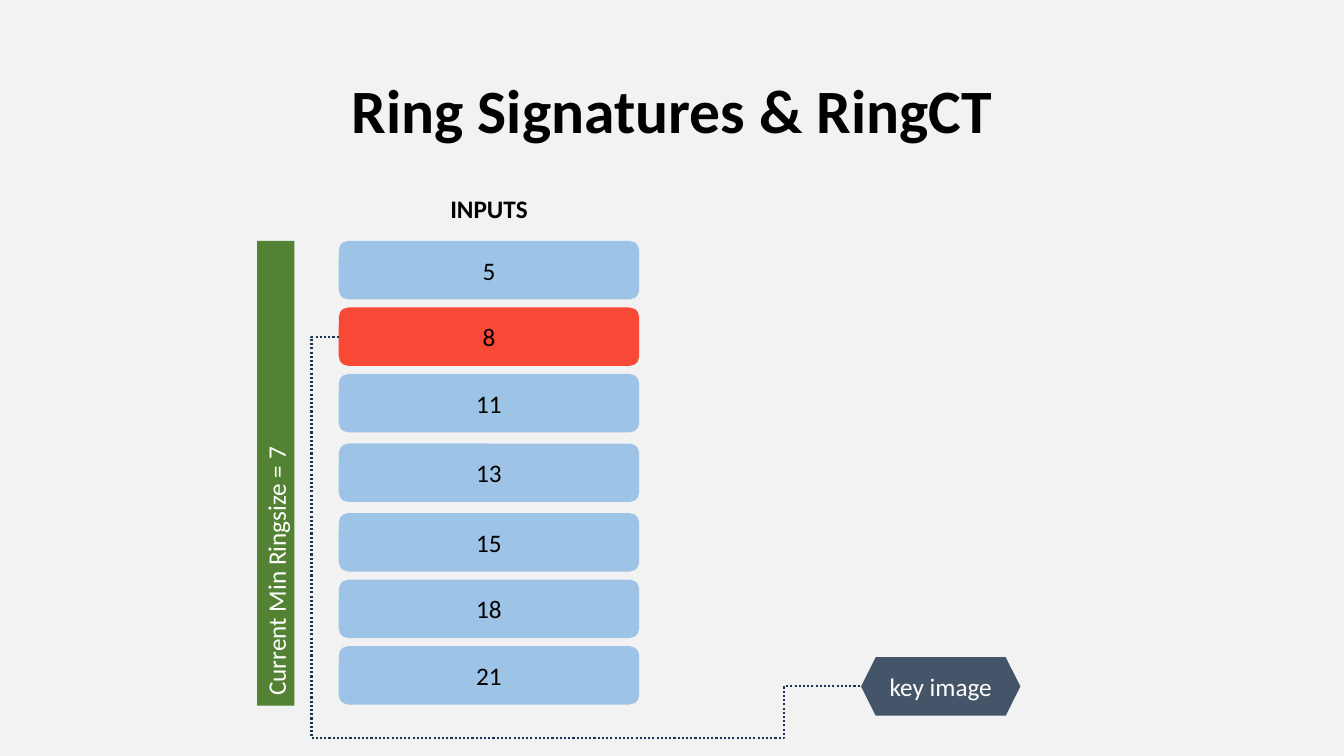
import itertools
import pptx
import pptx.util
import pptx.dml.color
import pptx.enum.dml
import pptx.enum.shapes
import pptx.enum.text
import pptx.oxml
import pptx.oxml.ns

Inch = pptx.util.Inches
Kind = pptx.enum.shapes.MSO_SHAPE
Align = pptx.enum.text.PP_ALIGN
Mid = pptx.enum.text.MSO_ANCHOR.MIDDLE

INPUTS = ["5", "8", "11", "13", "15", "18", "21"]
STEPS = [0, 0.66, 0.66, 0.69, 0.69, 0.66, 0.66]
SPENT = "8"
ROW = 0.58


def color(code):
    return pptx.dml.color.RGBColor.from_string(code)


def write(frame, text, size=18, ink="000000", bold=False, align=Align.CENTER):
    frame.text = text
    par = frame.paragraphs[0]
    par.alignment = align
    par.font.name = "Calibri"
    par.font.size = pptx.util.Pt(size)
    par.font.bold = bold
    par.font.color.rgb = color(ink)
    return par


def block(slide, kind, box, fill, text, ink="000000", align=Align.CENTER):
    shape = slide.shapes.add_shape(kind, *map(Inch, box))
    shape.shadow.inherit = False
    shape.fill.solid()
    shape.fill.fore_color.rgb = color(fill)
    shape.line.fill.background()
    shape.text_frame.vertical_anchor = Mid
    write(shape.text_frame, text, ink=ink, align=align)
    return shape


def elbow(slide, start, end, preset, bend=None):
    link = slide.shapes.add_connector(
        pptx.enum.shapes.MSO_CONNECTOR.ELBOW, *map(Inch, start + end))
    link.line.color.rgb = color("183457")
    link.line.width = pptx.util.Pt(1.5)
    link.line.dash_style = pptx.enum.dml.MSO_LINE.ROUND_DOT
    props = link._element.spPr
    props.append(pptx.oxml.parse_xml(
        f'<a:effectLst {pptx.oxml.ns.nsdecls("a")}/>'))
    geom = props.find(pptx.oxml.ns.qn("a:prstGeom"))
    geom.set("prst", preset)
    if bend is not None:
        geom.find(pptx.oxml.ns.qn("a:avLst")).append(pptx.oxml.parse_xml(
            f'<a:gd {pptx.oxml.ns.nsdecls("a")} name="adj1" '
            f'fmla="val {round(bend * 100000)}"/>'))


def head(slide, box):
    title = slide.shapes.title
    title.left, title.top, title.width, title.height = map(Inch, box)
    title.text_frame.vertical_anchor = Mid
    par = write(title.text_frame, "Ring Signatures & RingCT", 44, bold=True)
    par.line_spacing = 0.9


def side(slide, box):
    left, top, width, height = box
    turned = (left + (width - height) / 2, top + (height - width) / 2,
              height, width)
    bar = block(slide, Kind.RECTANGLE, turned, "548235",
                "Current Min Ringsize = 7", "FFFFFF", Align.LEFT)
    bar.rotation = 270


def stack(slide, box):
    left, top, width, height = box
    label = slide.shapes.add_textbox(
        *map(Inch, (left + width / 2 - 0.49, top - 0.52, 0.98, 0.4)))
    label.text_frame.word_wrap = False
    write(label.text_frame, "INPUTS", bold=True)
    for text, drop in zip(INPUTS, itertools.accumulate(STEPS)):
        fill = "F84836" if text == SPENT else "9DC3E6"
        block(slide, Kind.ROUNDED_RECTANGLE,
              (left, top + drop, width, ROW), fill, text)


def trace(slide, box):
    left, top, width, height = box
    corner = (left, top + height)
    key = (left + width, 6.81)
    elbow(slide, (left + 0.27, top), corner, "bentConnector2")
    elbow(slide, corner, key, "bentConnector3", 0.86)
    block(slide, Kind.HEXAGON, (key[0], key[1] - ROW / 2, 1.58, ROW),
          "445469", "key image", "FFFFFF")


def main():
    deck = pptx.Presentation()
    deck.slide_width, deck.slide_height = Inch(13.33), Inch(7.5)
    slide = deck.slides.add_slide(deck.slide_layouts[5])
    slide.background.fill.solid()
    slide.background.fill.fore_color.rgb = color("F2F2F2")
    head(slide, (0.92, 0.4, 11.5, 1.45))
    side(slide, (2.55, 2.39, 0.37, 4.61))
    stack(slide, (3.36, 2.39, 2.98, 4.6))
    trace(slide, (3.09, 3.34, 5.45, 3.98))
    deck.save("out.pptx")


if __name__ == "__main__":
    main()
